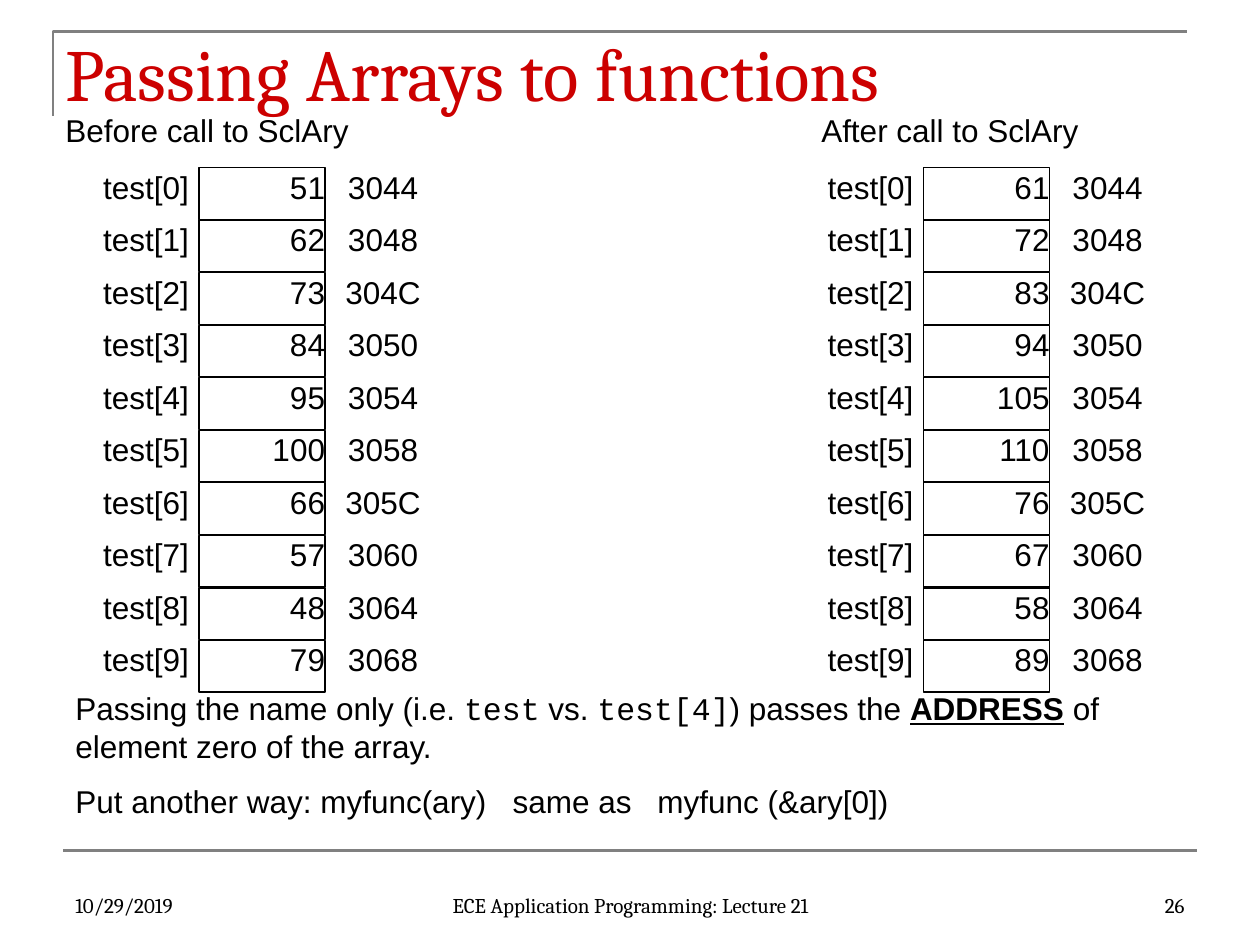
from lxml import etree
from pptx import Presentation
from pptx import util as u
from pptx.dml.color import RGBColor
from pptx.enum import shapes, text
from pptx.oxml import ns

BLACK = RGBColor(0, 0, 0)
RED = RGBColor(0xCC, 0, 0)
GRAY = RGBColor(0x80, 0x80, 0x80)
LEFT, CENTER, RIGHT = text.PP_ALIGN.LEFT, text.PP_ALIGN.CENTER, text.PP_ALIGN.RIGHT
TOP, BOTTOM = text.MSO_ANCHOR.TOP, text.MSO_ANCHOR.BOTTOM

ADDRESSES = ["3044", "3048", "304C", "3050", "3054", "3058", "305C", "3060", "3064", "3068"]
BEFORE = [51, 62, 73, 84, 95, 100, 66, 57, 48, 79]
AFTER = [61, 72, 83, 94, 105, 110, 76, 67, 58, 89]


def inches(*values):
    return [u.Inches(v) for v in values]


def add_run(p, words, size=18, font="Arial", color=BLACK, bold=False, underline=False):
    r = p.add_run()
    r.text = words
    f = r.font
    f.size, f.name, f.bold, f.underline = u.Pt(size), font, bold, underline
    f.color.rgb = color


def set_frame(sp, anchor=TOP, inset=None):
    tf = sp.text_frame
    tf.word_wrap = True
    tf.auto_size = text.MSO_AUTO_SIZE.NONE
    tf.vertical_anchor = anchor
    if inset is not None:
        tf.margin_left = tf.margin_right = tf.margin_top = tf.margin_bottom = u.Inches(inset)
    return tf


def set_tabs(p, *stops):
    tabs = etree.SubElement(p._p.get_or_add_pPr(), ns.qn("a:tabLst"))
    for stop in stops:
        etree.SubElement(tabs, ns.qn("a:tab"), pos=str(u.Inches(stop)), algn="l")


def add_text(s, box, words, align=LEFT, anchor=TOP, inset=None, **fmt):
    sp = s.shapes.add_textbox(*inches(*box))
    p = set_frame(sp, anchor, inset).paragraphs[0]
    p.alignment = align
    add_run(p, words, **fmt)
    return p


def add_cell(s, box, words):
    sp = s.shapes.add_shape(shapes.MSO_SHAPE.RECTANGLE, *inches(*box))
    sp.shadow.inherit = False
    sp.fill.background()
    sp.line.color.rgb = BLACK
    sp.line.width = u.Pt(0.75)
    p = set_frame(sp, inset=0).paragraphs[0]
    p.alignment = RIGHT
    add_run(p, words)


def add_rules(s, x, y, w, h):
    fb = s.shapes.build_freeform(*inches(x, y + h))
    fb.add_line_segments([inches(x, y), inches(x + w, y)], close=False)
    corner = fb.convert_to_shape()
    corner.shadow.inherit = False
    corner.fill.background()
    rule = s.shapes.add_connector(shapes.MSO_CONNECTOR.STRAIGHT, *inches(0.5, 6.75, 9.5, 6.75))
    etree.SubElement(rule._element.spPr, ns.qn("a:effectLst"))
    for sp in (corner, rule):
        sp.line.color.rgb = GRAY
        sp.line.width = u.Pt(1.5)


def add_title(s, box, words):
    sp = s.shapes.title
    sp.left, sp.top, sp.width, sp.height = inches(*box)
    p = set_frame(sp).paragraphs[0]
    p.alignment = LEFT
    add_run(p, words, size=42, font="Cambria", color=RED)


def add_array(s, x, y, h, values):
    pitch = h / len(values)
    for i, (value, address) in enumerate(zip(values, ADDRESSES)):
        top = y + i * pitch
        add_text(s, (x, top, 0.92, 0.4), f"test[{i}]", align=RIGHT, inset=0)
        add_cell(s, (x + 1, top, 1, 0.41), str(value))
        add_text(s, (x + 2, top, 0.92, 0.4), address, align=CENTER, inset=0)


def add_notes_on_passing(s, box):
    tf = set_frame(s.shapes.add_textbox(*inches(*box)))
    p = tf.paragraphs[0]
    add_run(p, "Passing the name only (i.e. ")
    add_run(p, "test", font="Courier New")
    add_run(p, " vs. ")
    add_run(p, "test[4]", font="Courier New")
    add_run(p, ") passes the ")
    add_run(p, "ADDRESS", bold=True, underline=True)
    add_run(p, " of element zero of the array.")
    p = tf.add_paragraph()
    p.space_before = u.Pt(10)
    set_tabs(p, 3.47, 4.62)
    add_run(p, "Put another way: myfunc(ary)\tsame as\tmyfunc (&ary[0])")


def add_footer(s, y, h):
    for x, w, words, align in (
        (0.5, 2.33, "10/29/2019", LEFT),
        (7.17, 2.33, "26", RIGHT),
        (3.42, 3.17, "ECE Application Programming: Lecture 21", CENTER),
    ):
        add_text(s, (x, y, w, h), words, align=align, anchor=BOTTOM, size=12, font="Cambria")


def main():
    prs = Presentation()
    prs.slide_width, prs.slide_height = inches(10, 7.5)
    s = prs.slides.add_slide(prs.slide_layouts[5])
    add_rules(s, 0.42, 0.25, 9, 0.67)
    add_title(s, (0.42, 0.17, 9.67, 0.58), "Passing Arrays to functions")
    add_array(s, 0.58, 1.33, 4.17, BEFORE)
    add_array(s, 6.33, 1.33, 4.17, AFTER)
    p = add_text(s, (0.42, 0.83, 9, 0.5), "Before call to SclAry\tAfter call to SclAry")
    set_tabs(p, 6)
    add_notes_on_passing(s, (0.5, 5.42, 9, 1.16))
    add_footer(s, 6.83, 0.5)
    prs.save("out.pptx")


if __name__ == "__main__":
    main()
